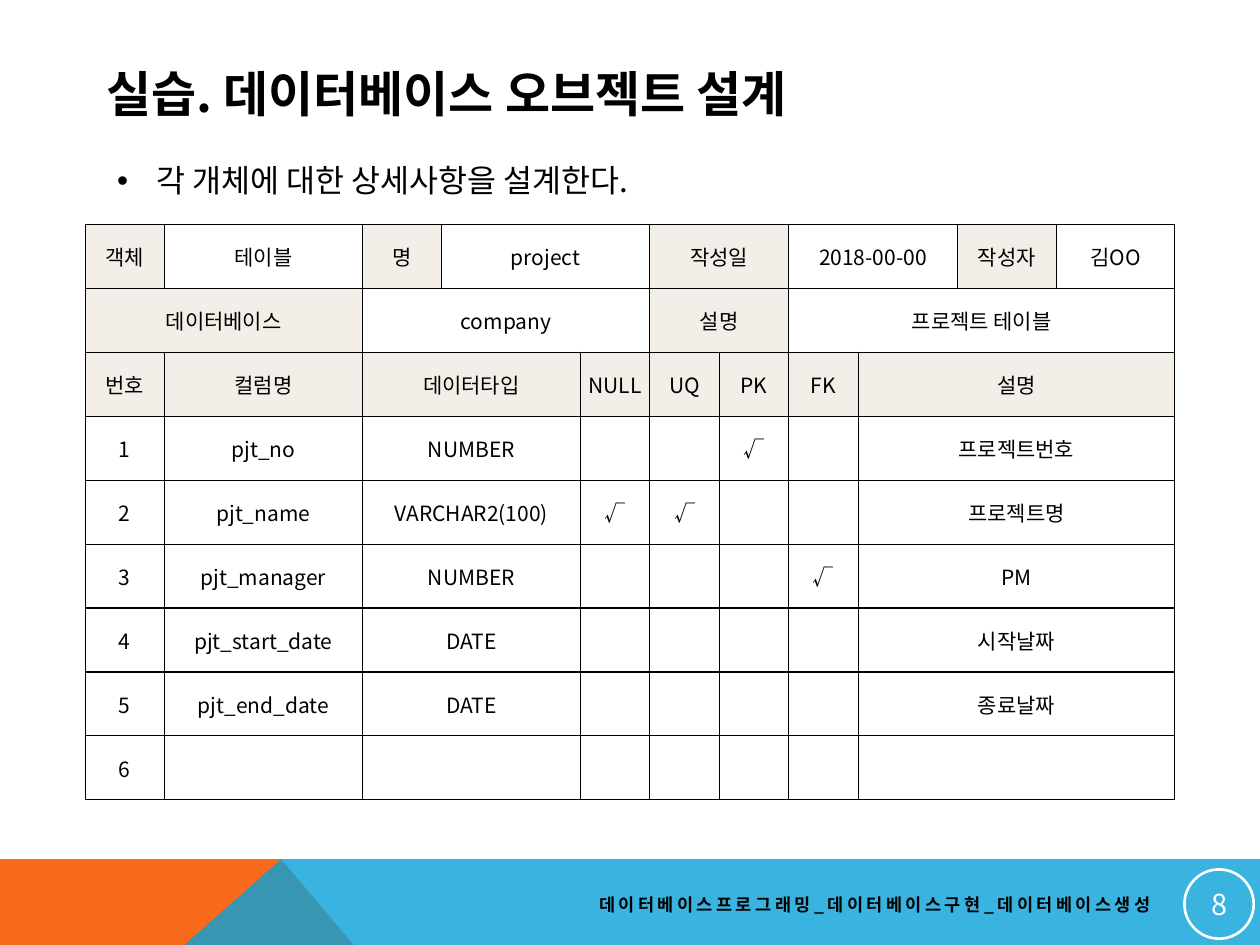
from dataclasses import dataclass
from typing import NamedTuple

from lxml.etree import SubElement
from pptx import Presentation
from pptx.dml.color import RGBColor
from pptx.enum.shapes import MSO_SHAPE
from pptx.enum.text import MSO_ANCHOR, MSO_AUTO_SIZE, PP_ALIGN
from pptx.oxml import parse_xml
from pptx.oxml.ns import nsdecls, qn
from pptx.util import Pt

FONT = "Noto Sans CJK KR"
BLACK = RGBColor(0x00, 0x00, 0x00)
WHITE = RGBColor(0xFF, 0xFF, 0xFF)
CREAM = RGBColor(0xF3, 0xEF, 0xE8)
ORANGE = RGBColor(0xF9, 0x6A, 0x1B)
BLUE = RGBColor(0x08, 0xA1, 0xD9)

COL_WIDTHS = [45.3, 113.2, 45.3, 79.2] + [39.7] * 4 + [56.7, 56.7, 67.6]
ROW_HEIGHT = 36.56
BAND_TOP, BAND_BOTTOM, BAND_PEAK = 491, 633.6, 160.6
BULLET_INDENT = 22.5


class Cell(NamedTuple):
    text: str
    span: int = 1
    fill: RGBColor = WHITE


@dataclass
class Column:
    number: str
    name: str = ""
    datatype: str = ""
    marks: str = ""
    description: str = ""

    def cells(self) -> list[Cell]:
        flags = [Cell("√" if key in self.marks.split() else "") for key in KEYS]
        return [Cell(self.number), Cell(self.name), Cell(self.datatype, 2),
                *flags, Cell(self.description, 3)]


class TextItem(NamedTuple):
    text: str
    left: float
    top: float
    width: float
    height: float
    size: float
    bold: bool = True
    align: PP_ALIGN = PP_ALIGN.LEFT
    anchor: MSO_ANCHOR = MSO_ANCHOR.MIDDLE
    spacing: float = 0
    bullet: bool = False


def label(text: str, span: int = 1) -> Cell:
    return Cell(text, span, CREAM)


KEYS = ["NULL", "UQ", "PK", "FK"]
HEADER_ROWS = [
    [label("객체"), Cell("테이블"), label("명"), Cell("project", 2), label("작성일", 2),
     Cell("2018-00-00", 2), label("작성자"), Cell("김OO")],
    [label("데이터베이스", 2), Cell("company", 3), label("설명", 2), Cell("프로젝트 테이블", 4)],
    [label("번호"), label("컬럼명"), label("데이터타입", 2), *map(label, KEYS), label("설명", 3)],
]
COLUMNS = [
    Column("1", "pjt_no", "NUMBER", "PK", "프로젝트번호"),
    Column("2", "pjt_name", "VARCHAR2(100)", "NULL UQ", "프로젝트명"),
    Column("3", "pjt_manager", "NUMBER", "FK", "PM"),
    Column("4", "pjt_start_date", "DATE", "", "시작날짜"),
    Column("5", "pjt_end_date", "DATE", "", "종료날짜"),
    Column("6"),
]
TEXTS = [
    TextItem("각 개체에 대한 상세사항을 설계한다.", 59.8, 88.6, 339.8, 28.8, 18,
             bold=False, anchor=MSO_ANCHOR.TOP, bullet=True),
    TextItem("데이터베이스프로그래밍_데이터베이스구현_데이터베이스생성", 292.3, 506.2, 372.2, 21.6, 10,
             align=PP_ALIGN.RIGHT, spacing=2),
    TextItem("실습. 데이터베이스 오브젝트 설계", 54, 31.7, 591.8, 43.2, 28),
]


def format_text(p, size: float, color: RGBColor = BLACK, bold: bool = False,
                spacing: float = 0) -> None:
    for r in p.runs:
        r.font.name, r.font.size, r.font.bold = FONT, Pt(size), bold
        r.font.color.rgb = color
        rPr = r.font._element
        SubElement(rPr, qn("a:ea")).set("typeface", FONT)
        if spacing:
            rPr.set("spc", str(round(spacing * 100)))


def add_band(s, points: list[tuple[float, float]], color: RGBColor, opacity: int = 100) -> None:
    start, *rest = [(Pt(x), Pt(y)) for x, y in points]
    builder = s.shapes.build_freeform(*start)
    builder.add_line_segments(rest, close=True)
    sp = builder.convert_to_shape()
    sp.shadow.inherit = False
    sp.fill.solid()
    sp.fill.fore_color.rgb = color
    sp.line.fill.background()
    if opacity < 100:
        srgb = sp._element.spPr.find(".//" + qn("a:srgbClr"))
        SubElement(srgb, qn("a:alpha")).set("val", str(opacity * 1000))


def fill_cell(tc, cell: Cell) -> None:
    tc.fill.solid()
    tc.fill.fore_color.rgb = cell.fill
    tc.vertical_anchor = MSO_ANCHOR.MIDDLE
    tc.margin_left = tc.margin_right = Pt(4.3)
    tc.margin_top = tc.margin_bottom = Pt(0)
    tc.text_frame.text = cell.text
    p = tc.text_frame.paragraphs[0]
    p.alignment = PP_ALIGN.CENTER
    format_text(p, 12)


def add_border(tc) -> None:
    tcPr = tc._tc.get_or_add_tcPr()
    for i, side in enumerate(["lnL", "lnR", "lnT", "lnB"]):
        tcPr.insert(i, parse_xml(
            f'<a:{side} {nsdecls("a")} w="{Pt(0.75)}"><a:solidFill>'
            f'<a:srgbClr val="{BLACK}"/></a:solidFill></a:{side}>'))


def add_design_table(s, rows: list[list[Cell]]) -> None:
    frame = s.shapes.add_table(len(rows), len(COL_WIDTHS), Pt(48.6), Pt(128.2),
                               Pt(sum(COL_WIDTHS)), Pt(ROW_HEIGHT * len(rows)))
    table = frame.table
    table.first_row = table.horz_banding = False
    for column, width in zip(table.columns, COL_WIDTHS):
        column.width = Pt(width)
    for i, row in enumerate(rows):
        table.rows[i].height = Pt(ROW_HEIGHT)
        j = 0
        for cell in row:
            tc = table.cell(i, j)
            if cell.span > 1:
                tc.merge(table.cell(i, j + cell.span - 1))
            fill_cell(tc, cell)
            for k in range(j, j + cell.span):
                add_border(table.cell(i, k))
            j += cell.span


def add_page_number(s, number: str) -> None:
    sp = s.shapes.add_shape(MSO_SHAPE.OVAL, Pt(676.8), Pt(496.8), Pt(39.6), Pt(39.6))
    sp.shadow.inherit = False
    sp.fill.background()
    sp.line.color.rgb = WHITE
    sp.line.width = Pt(1.5)
    tf = sp.text_frame
    tf.margin_left = tf.margin_right = tf.margin_top = tf.margin_bottom = Pt(0.7)
    tf.vertical_anchor = MSO_ANCHOR.MIDDLE
    tf.text = number
    tf.paragraphs[0].alignment = PP_ALIGN.CENTER
    format_text(tf.paragraphs[0], 16.5, WHITE)


def add_text(s, item: TextItem) -> None:
    sp = s.shapes.add_textbox(Pt(item.left), Pt(item.top), Pt(item.width), Pt(item.height))
    tf = sp.text_frame
    tf.word_wrap = not item.bullet
    tf.vertical_anchor = item.anchor
    tf.text = item.text
    p = tf.paragraphs[0]
    p.alignment = item.align
    format_text(p, item.size, bold=item.bold, spacing=item.spacing)
    if item.bullet:
        tf.auto_size = MSO_AUTO_SIZE.SHAPE_TO_FIT_TEXT
        pPr = p._p.get_or_add_pPr()
        pPr.set("marL", str(Pt(BULLET_INDENT)))
        pPr.set("indent", str(-Pt(BULLET_INDENT)))
        SubElement(pPr, qn("a:buFont")).set("typeface", "Arial")
        SubElement(pPr, qn("a:buChar")).set("char", "•")


def main() -> None:
    prs = Presentation()
    prs.slide_width, prs.slide_height = Pt(720), Pt(540)
    s = prs.slides.add_slide(prs.slide_layouts[6])
    add_band(s, [(0, BAND_BOTTOM), (0, BAND_TOP), (BAND_PEAK, BAND_TOP),
                 (281.5, BAND_BOTTOM)], ORANGE)
    add_band(s, [(0, BAND_BOTTOM), (BAND_PEAK, BAND_TOP), (720, BAND_TOP),
                 (720, BAND_BOTTOM)], BLUE, opacity=80)
    add_design_table(s, HEADER_ROWS + [column.cells() for column in COLUMNS])
    add_page_number(s, "8")
    for item in TEXTS:
        add_text(s, item)
    prs.save("out.pptx")


if __name__ == "__main__":
    main()
